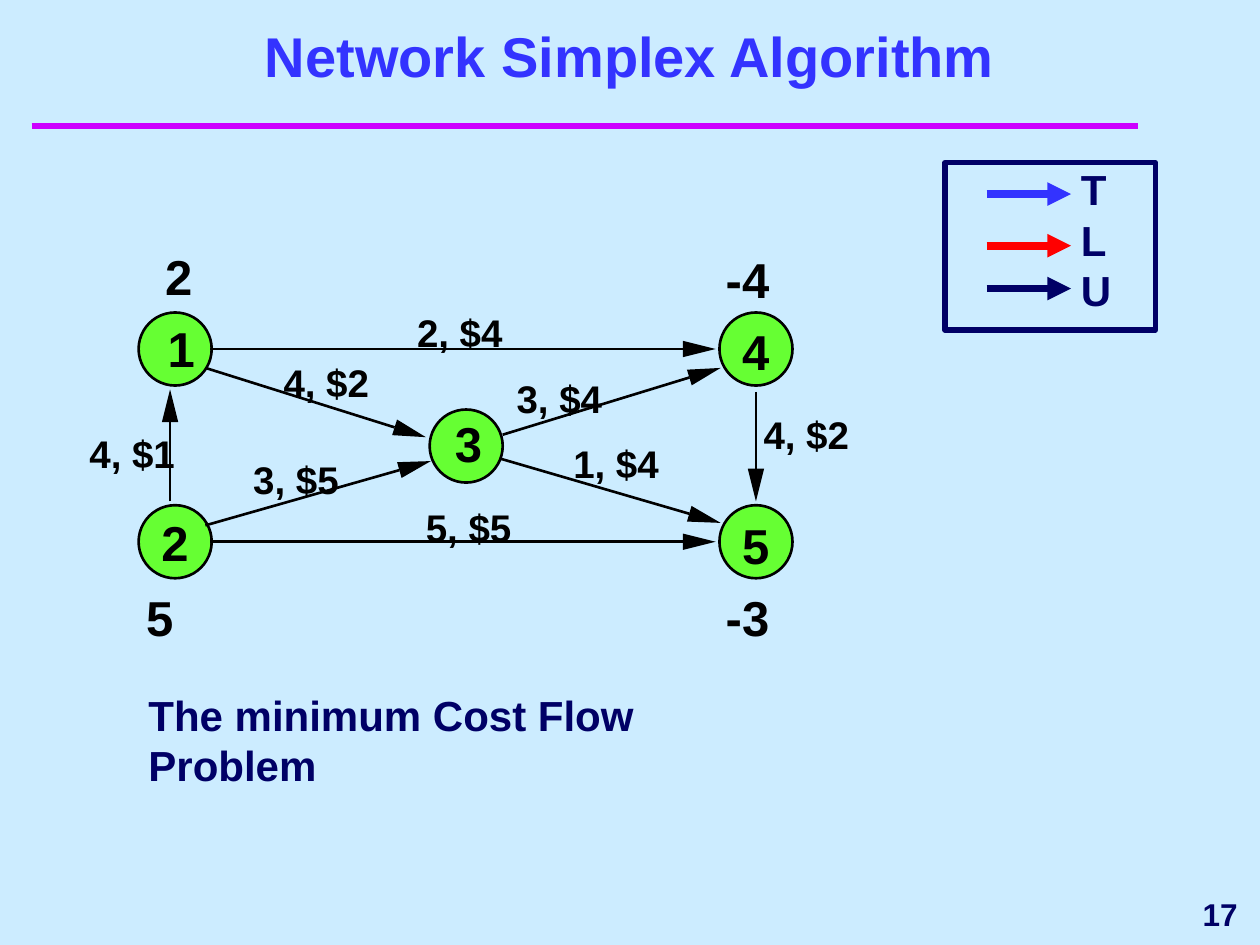
import math
from dataclasses import dataclass
from typing import NamedTuple

from lxml import etree
from pptx import Presentation
from pptx import util as u
from pptx.dml.color import RGBColor
from pptx.enum import shapes, text
from pptx.oxml.ns import qn


@dataclass(frozen=True)
class Theme:
    font: str = "Arial"
    background: str = "CCECFF"
    rule: str = "CC00FF"
    title: str = "3333FF"
    navy: str = "000066"
    red: str = "FF0000"
    black: str = "000000"
    node: str = "66FF33"
    title_size: int = 32
    node_size: int = 28
    body_size: int = 24
    cost_size: int = 22
    number_size: int = 18


class Label(NamedTuple):
    text: str
    x: float
    y: float


class Node(NamedTuple):
    x: float
    y: float
    name: Label


class Edge(NamedTuple):
    x1: float
    y1: float
    x2: float
    y2: float
    cost: Label


class LegendEntry(NamedTuple):
    name: str
    y: float
    color: str


THEME = Theme()
DIAMETER = 0.58
HEAD_LENGTH, HEAD_WIDTH = 0.26, 0.13
INSET = (0.1, 0.05)

NODES = [
    Node(1.1, 2.48, Label("1", 1.33, 2.53)),
    Node(1.1, 4.01, Label("2", 1.28, 4.07)),
    Node(3.41, 3.25, Label("3", 3.61, 3.28)),
    Node(5.71, 2.48, Label("4", 5.89, 2.55)),
    Node(5.71, 4.01, Label("5", 5.89, 4.09)),
]
EDGES = [
    Edge(1.67, 2.77, 5.68, 2.77, Label("2, $4", 3.31, 2.45)),
    Edge(1.35, 3.98, 1.35, 3.09, Label("4, $1", 0.71, 3.41)),
    Edge(1.67, 4.3, 5.68, 4.3, Label("5, $5", 3.38, 4)),
    Edge(6, 3.11, 6, 3.98, Label("4, $2", 6.06, 3.26)),
    Edge(1.63, 2.92, 3.38, 3.47, Label("4, $2", 2.25, 2.85)),
    Edge(3.99, 3.45, 5.72, 2.92, Label("3, $4", 4.1, 2.98)),
    Edge(3.97, 3.64, 5.72, 4.15, Label("1, $4", 4.55, 3.49)),
    Edge(1.63, 4.17, 3.42, 3.66, Label("3, $5", 2.01, 3.62)),
]
SUPPLIES = [Label("2", 1.31, 1.96), Label("5", 1.16, 4.66)]
DEMANDS = [Label("-4", 5.76, 1.98), Label("-3", 5.76, 4.66)]
LEGEND = [
    LegendEntry("T", 1.54, THEME.title),
    LegendEntry("L", 1.95, THEME.red),
    LegendEntry("U", 2.29, THEME.navy),
]


def rgb(color: str) -> RGBColor:
    return RGBColor.from_string(color)


def add_text(s, lines: list[str], x: float, y: float, w: float, h: float,
             size: int, color: str, inset=(0, 0), wrap=False, grow=True,
             align=text.PP_ALIGN.LEFT, anchor=text.MSO_ANCHOR.TOP):
    tf = s.shapes.add_textbox(*map(u.Inches, (x, y, w, h))).text_frame
    tf.word_wrap = wrap
    tf.auto_size = (text.MSO_AUTO_SIZE.SHAPE_TO_FIT_TEXT if grow
                    else text.MSO_AUTO_SIZE.NONE)
    tf.vertical_anchor = anchor
    tf.margin_left = tf.margin_right = u.Inches(inset[0])
    tf.margin_top = tf.margin_bottom = u.Inches(inset[1])
    tf.text = "\n".join(lines)
    for p in tf.paragraphs:
        p.alignment = align
        p.font.name = THEME.font
        p.font.size = u.Pt(size)
        p.font.bold = True
        p.font.color.rgb = rgb(color)


def add_label(s, label: Label, w: float, h: float, size: int):
    add_text(s, [label.text], label.x, label.y, w, h, size, THEME.black)


def add_line(s, x1: float, y1: float, x2: float, y2: float,
             color: str, width: float, arrow=False):
    cx = s.shapes.add_connector(shapes.MSO_CONNECTOR.STRAIGHT,
                                *map(u.Inches, (x1, y1, x2, y2)))
    cx.line.color.rgb = rgb(color)
    cx.line.width = u.Pt(width)
    if arrow:
        etree.SubElement(cx.line._get_or_add_ln(), qn("a:tailEnd"), type="triangle")
    etree.SubElement(cx._element.spPr, qn("a:effectLst"))


def add_edge(s, edge: Edge):
    length = math.hypot(edge.x2 - edge.x1, edge.y2 - edge.y1)
    dx, dy = (edge.x2 - edge.x1) / length, (edge.y2 - edge.y1) / length
    bx, by = edge.x2 - HEAD_LENGTH * dx, edge.y2 - HEAD_LENGTH * dy
    nx, ny = -dy * HEAD_WIDTH / 2, dx * HEAD_WIDTH / 2
    add_line(s, edge.x1, edge.y1, bx, by, THEME.black, 1.5)
    fb = s.shapes.build_freeform(u.Inches(edge.x2), u.Inches(edge.y2))
    fb.add_line_segments([(u.Inches(bx + nx), u.Inches(by + ny)),
                          (u.Inches(bx - nx), u.Inches(by - ny))], close=True)
    sp = fb.convert_to_shape()
    sp.shadow.inherit = False
    sp.fill.solid()
    sp.fill.fore_color.rgb = rgb(THEME.black)
    sp.line.fill.background()


def add_node(s, node: Node):
    sp = s.shapes.add_shape(shapes.MSO_SHAPE.OVAL,
                            *map(u.Inches, (node.x, node.y, DIAMETER, DIAMETER)))
    sp.shadow.inherit = False
    sp.fill.solid()
    sp.fill.fore_color.rgb = rgb(THEME.node)
    sp.line.color.rgb = rgb(THEME.black)
    sp.line.width = u.Pt(1.5)


def add_legend(s, entries: list[LegendEntry]):
    for entry in entries:
        add_line(s, 7.83, entry.y, 8.5, entry.y, entry.color, 4.5, arrow=True)
    add_text(s, [entry.name for entry in entries], 8.48, 1.25, 0.44, 1.3,
             THEME.body_size, THEME.navy, INSET)
    sp = s.shapes.add_shape(shapes.MSO_SHAPE.RECTANGLE,
                            *map(u.Inches, (7.5, 1.29, 1.67, 1.33)))
    sp.shadow.inherit = False
    sp.fill.background()
    sp.line.color.rgb = rgb(THEME.navy)
    sp.line.width = u.Pt(3)


def main():
    prs = Presentation()
    prs.slide_width, prs.slide_height = u.Inches(10), u.Inches(7.5)
    s = prs.slides.add_slide(prs.slide_layouts[6])
    s.background.fill.solid()
    s.background.fill.fore_color.rgb = rgb(THEME.background)

    add_line(s, 0.25, 1, 9.03, 1, THEME.rule, 4)
    add_text(s, ["17"], 8, 7, 1.92, 0.5, THEME.number_size, THEME.navy, INSET,
             grow=False, align=text.PP_ALIGN.RIGHT, anchor=text.MSO_ANCHOR.MIDDLE)
    add_text(s, ["Network Simplex Algorithm"], 0, 0.33, 10, 0.42,
             THEME.title_size, THEME.title, INSET, wrap=True, grow=False,
             align=text.PP_ALIGN.CENTER, anchor=text.MSO_ANCHOR.BOTTOM)

    for node in NODES:
        add_node(s, node)
    for edge in EDGES:
        add_edge(s, edge)
    for label in [node.name for node in NODES] + SUPPLIES:
        add_label(s, label, 0.22, 0.47, THEME.node_size)
    for label in DEMANDS:
        add_label(s, label, 0.35, 0.47, THEME.node_size)
    for edge in EDGES:
        add_label(s, edge.cost, 0.68, 0.37, THEME.cost_size)

    add_text(s, ["The minimum Cost Flow Problem"], 1.08, 5.42, 4.92, 0.9,
             THEME.body_size, THEME.navy, INSET, wrap=True)
    add_legend(s, LEGEND)
    prs.save("out.pptx")


if __name__ == "__main__":
    main()
